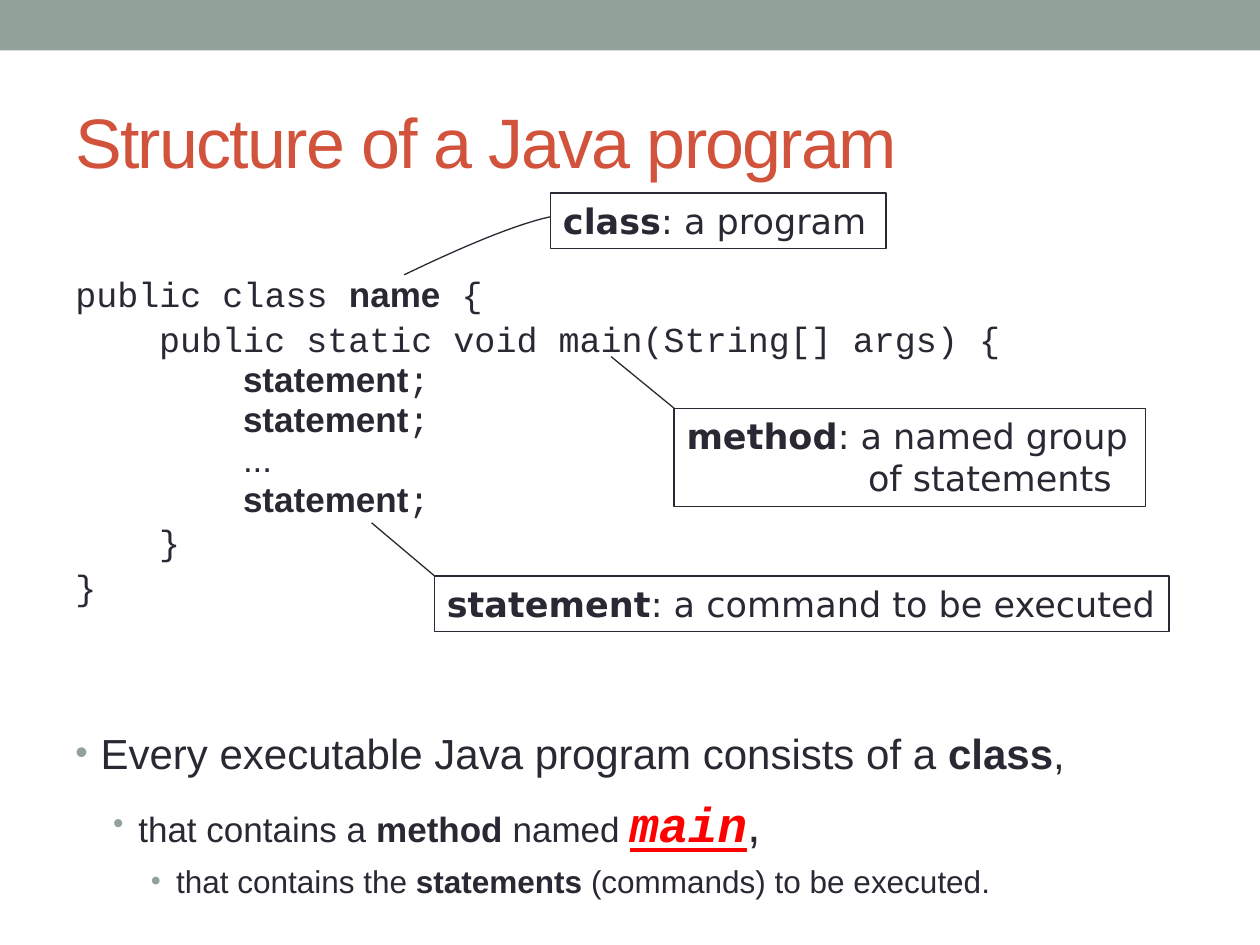
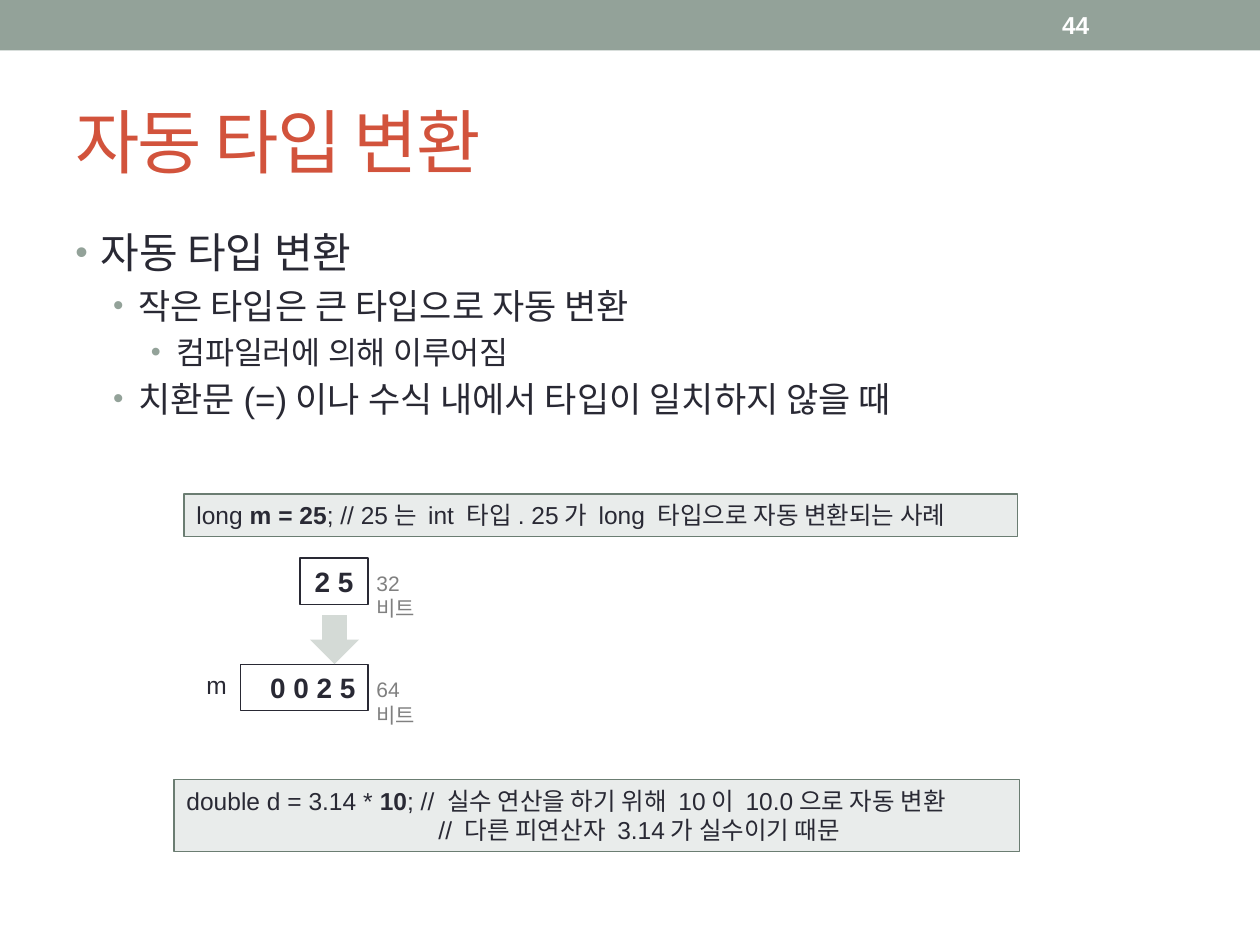
from lxml import etree
from pptx import Presentation
from pptx.dml.color import RGBColor
from pptx.enum.shapes import MSO_CONNECTOR, MSO_SHAPE
from pptx.enum.text import MSO_ANCHOR, PP_ALIGN
from pptx.oxml.ns import qn
from pptx.util import Cm, Pt

RECTANGLE, DOWN_ARROW = MSO_SHAPE.RECTANGLE, MSO_SHAPE.DOWN_ARROW
STRAIGHT = MSO_CONNECTOR.STRAIGHT
TOP, MIDDLE = MSO_ANCHOR.TOP, MSO_ANCHOR.MIDDLE
LEFT, CENTER, RIGHT = PP_ALIGN.LEFT, PP_ALIGN.CENTER, PP_ALIGN.RIGHT

SAGE, RUST, INK, GRAY = "93A299", "D2533C", "292934", "808080"
WHITE, RED, PALE_SAGE = "FFFFFF", "FF0000", "D4DAD6"
CODE_FILL, CODE_LINE = "E9ECEB", "6B7D72"
SANS, MONO, CALLOUT_FONT = "Arial", "Courier New", "DejaVu Sans"
BULLET_SIZES = (24, 20, 18)
BULLET_SCALES = (85000, 85000, 90000)
BULLET_STEP, HANGING = 0.76, 0.51
CODE_STEP = 1.69
CALLOUT_HANGING = 0.79
CURVE_STEPS = 16


def rgb(value):
    """Turn a hex string into a colour."""
    return RGBColor.from_string(value)


def lengths(*values):
    """Turn centimetres into lengths."""
    return [Cm(value) for value in values]


def add_text(paragraph, text, size=14, font=SANS, color=INK, bold=False,
             italic=False, underline=False, tracking=None):
    """Add formatted text, with a line break at each newline."""
    for number, line in enumerate(text.split("\n")):
        if number:
            paragraph.add_line_break()
        run = paragraph.add_run()
        run.text = line
        run.font.size = Pt(size)
        run.font.name = font
        run.font.color.rgb = rgb(color)
        run.font.bold = bold
        run.font.italic = italic
        run.font.underline = underline
        if tracking:
            run._r.get_or_add_rPr().set("spc", str(tracking))


def add_runs(paragraph, runs, **base):
    """Add plain strings or (text, format) pairs over a shared format."""
    for run in [runs] if isinstance(runs, str) else runs:
        text, changes = (run, {}) if isinstance(run, str) else run
        add_text(paragraph, text, **{**base, **changes})


def set_indent(paragraph, left, first=0):
    """Set the left margin and first-line indent in centimetres."""
    properties = paragraph._p.get_or_add_pPr()
    properties.set("marL", str(Cm(left)))
    properties.set("indent", str(Cm(first)))


def next_paragraph(frame):
    """Return the empty first paragraph or a new one."""
    first = frame.paragraphs[0]
    return frame.add_paragraph() if first.runs else first


def add_code_line(frame, runs, depth=0, spacing=0.8):
    """Add a line of code indented by its depth."""
    paragraph = next_paragraph(frame)
    paragraph.line_spacing = spacing
    paragraph.space_before = Pt(6)
    set_indent(paragraph, depth * CODE_STEP)
    add_runs(paragraph, runs, size=20, font=MONO)


def add_bullet(frame, runs, level=0, spacing=1.0, before=None):
    """Add a bulleted paragraph at an outline level."""
    paragraph = next_paragraph(frame)
    size = BULLET_SIZES[level]
    paragraph.level = level
    paragraph.line_spacing = spacing
    paragraph.space_before = Pt(before or size * 0.2)
    set_indent(paragraph, HANGING + level * BULLET_STEP, -HANGING)
    properties = paragraph._p.get_or_add_pPr()
    color = etree.SubElement(properties, qn("a:buClr"))
    etree.SubElement(color, qn("a:srgbClr"), val=SAGE)
    etree.SubElement(properties, qn("a:buSzPct"), val=str(BULLET_SCALES[level]))
    etree.SubElement(properties, qn("a:buFont"), typeface=SANS)
    etree.SubElement(properties, qn("a:buChar"), char="•")
    add_runs(paragraph, runs, size=size)


def add_frame(slide, box, anchor=TOP, wrap=True):
    """Add a text box and return its text frame."""
    frame = slide.shapes.add_textbox(*lengths(*box)).text_frame
    frame.word_wrap = wrap
    frame.vertical_anchor = anchor
    return frame


def add_label(slide, box, runs, anchor=TOP, wrap=True, **style):
    """Add a text box with a single paragraph."""
    frame = add_frame(slide, box, anchor, wrap)
    add_runs(frame.paragraphs[0], runs, **style)


def style_outline(line, color=INK):
    """Give a line its colour and the shared width."""
    line.color.rgb = rgb(color)
    line.width = Pt(0.75)


def add_box(slide, box, fill=None, line=None, kind=RECTANGLE):
    """Add a flat preset shape."""
    shape = slide.shapes.add_shape(kind, *lengths(*box))
    shape.shadow.inherit = False
    if fill:
        shape.fill.solid()
        shape.fill.fore_color.rgb = rgb(fill)
    else:
        shape.fill.background()
    if line:
        style_outline(shape.line, line)
    else:
        shape.line.fill.background()
    shape.text_frame.vertical_anchor = TOP
    return shape


def add_callout(slide, box, term, meaning, hanging=CALLOUT_HANGING):
    """Add a white box that explains a term."""
    frame = add_box(slide, box, WHITE, INK).text_frame
    frame.word_wrap = False
    paragraph = frame.paragraphs[0]
    paragraph.alignment = LEFT
    set_indent(paragraph, hanging, -hanging)
    add_runs(paragraph, [(term, {"bold": True}), ": " + meaning],
             size=20, font=CALLOUT_FONT)


def add_leader(slide, start, end):
    """Add a straight line from a callout to the code."""
    connector = slide.shapes.add_connector(STRAIGHT, *lengths(*start, *end))
    style_outline(connector.line)
    etree.SubElement(connector._element.spPr, qn("a:effectLst"))


def add_curve(slide, *controls):
    """Add an open cubic curve through four control points."""
    points = []
    for step in range(CURVE_STEPS + 1):
        t = step / CURVE_STEPS
        weights = ((1 - t) ** 3, 3 * t * (1 - t) ** 2, 3 * t * t * (1 - t), t ** 3)
        points.append(lengths(*(sum(w * p[axis] for w, p in zip(weights, controls))
                                for axis in (0, 1))))
    builder = slide.shapes.build_freeform(*points[0])
    builder.add_line_segments(points[1:], close=False)
    curve = builder.convert_to_shape()
    curve.shadow.inherit = False
    curve.fill.background()
    style_outline(curve.line)


def add_code_panel(slide, box, lines):
    """Add a tinted panel of (runs, indent) lines."""
    frame = add_box(slide, box, CODE_FILL, CODE_LINE).text_frame
    frame.word_wrap = True
    for runs, indent in lines:
        paragraph = next_paragraph(frame)
        paragraph.alignment = LEFT
        set_indent(paragraph, indent)
        add_runs(paragraph, runs)


def add_memory_cell(slide, box, digits, alignment, size_label):
    """Add a box of digits with its bit size on the right."""
    left, top, width, height = box
    frame = add_box(slide, box, line=INK).text_frame
    frame.word_wrap = True
    frame.paragraphs[0].alignment = alignment
    add_text(frame.paragraphs[0], digits, size=16, bold=True)
    add_label(slide, (left + width - 0.08, top + 0.13, 1.3, 0.76),
              size_label, size=12, color=GRAY)


def add_base_slide(presentation, title):
    """Add a slide with the top band and title."""
    slide = presentation.slides.add_slide(presentation.slide_layouts[6])
    add_box(slide, (0, 0, 25.4, 1.02), SAGE)
    add_label(slide, (1.27, 1.47, 22.86, 2.74), title, MIDDLE,
              size=40, color=RUST, tracking=-100)
    return slide


def build_structure_slide(presentation):
    """Build the slide on the parts of a program."""
    slide = add_base_slide(presentation, "Structure of a Java program")
    frame = add_frame(slide, (1.27, 5.54, 22.86, 13.5))
    strong = {"bold": True}
    placeholder = {"font": SANS, "bold": True}
    statement = [("statement", placeholder), ";"]
    add_code_line(frame, ["public class ", ("name", placeholder), " {"])
    add_code_line(frame, "public static void main(String[] args) {", 1)
    for runs in (statement, statement, [("...", {"font": SANS})], statement):
        add_code_line(frame, runs, 2, 0.7)
    add_code_line(frame, "}", 1)
    add_code_line(frame, "}")
    add_bullet(frame, ["Every executable Java program consists of a ",
                       ("class", strong), ","], 0, 1.1, before=66)
    main_style = {"size": 28, "font": MONO, "color": RED, "bold": True,
                  "italic": True, "underline": True}
    add_bullet(frame, ["that contains a ", ("method", strong), " named ",
                       ("main", main_style), (",", {"size": 28})], 1, 1.1, before=5.6)
    add_bullet(frame, ["that contains the ", ("statements", strong),
                       " (commands) to be executed."], 2, 1.1)

    add_callout(slide, (11.1, 3.89, 6.76, 1.12), "class", "a program")
    add_curve(slide, (11.1, 4.37), (10.26, 4.55), (8.94, 5.16), (8.15, 5.54))
    add_callout(slide, (8.76, 11.61, 14.81, 1.12), "statement",
                "a command to be executed")
    add_leader(slide, (8.76, 11.61), (7.49, 10.54))
    add_callout(slide, (13.59, 8.23, 9.5, 1.98), "method",
                "a named group\nof statements", hanging=3.66)
    add_leader(slide, (13.59, 8.23), (12.32, 7.19))


def build_conversion_slide(presentation):
    """Build the slide on automatic type conversion."""
    slide = add_base_slide(presentation, "자동 타입 변환")
    frame = add_frame(slide, (1.27, 4.45, 22.86, 13.54))
    for level, text in ((0, "자동 타입 변환"),
                        (1, "작은 타입은 큰 타입으로 자동 변환"),
                        (2, "컴파일러에 의해 이루어짐"),
                        (1, "치환문(=)이나 수식 내에서 타입이 일치하지 않을 때")):
        add_bullet(frame, text, level)
    add_label(slide, (21.16, 0.05, 2.97, 0.91), "44", MIDDLE, color=WHITE, bold=True)

    add_memory_cell(slide, (6.05, 11.25, 1.37, 0.94), "2 5", CENTER, "32비트")
    add_memory_cell(slide, (4.85, 13.39, 2.57, 0.94), "0 0 2 5", RIGHT, "64비트")
    add_label(slide, (3.91, 13.39, 0.97, 0.86), "m", wrap=False)
    add_box(slide, (6.25, 12.4, 0.99, 0.99), PALE_SAGE, kind=DOWN_ARROW)

    strong = {"bold": True}
    add_code_panel(slide, (3.71, 9.96, 16.81, 0.86), [
        (["long ", ("m = 25", strong),
          "; // 25는 int 타입. 25가 long 타입으로 자동 변환되는 사례"], 0)])
    add_code_panel(slide, (3.51, 15.72, 17.04, 1.45), [
        (["double d = 3.14 * ", ("10", strong),
          "; // 실수 연산을 하기 위해 10이 10.0으로 자동 변환"], 0),
        ("// 다른 피연산자 3.14가 실수이기 때문", 5.08)])


def main():
    """Build and save the presentation."""
    presentation = Presentation()
    presentation.slide_width, presentation.slide_height = lengths(25.4, 19.05)
    build_structure_slide(presentation)
    build_conversion_slide(presentation)
    presentation.save("out.pptx")


main()
